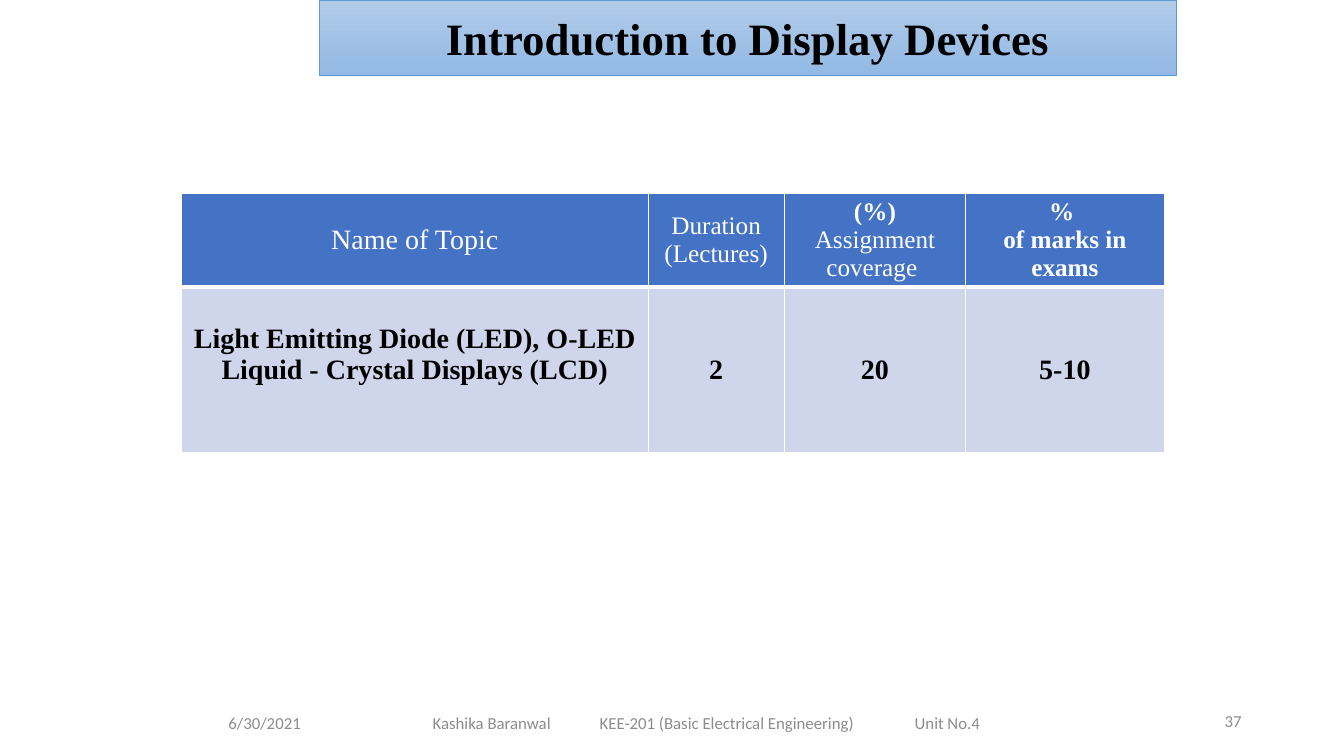
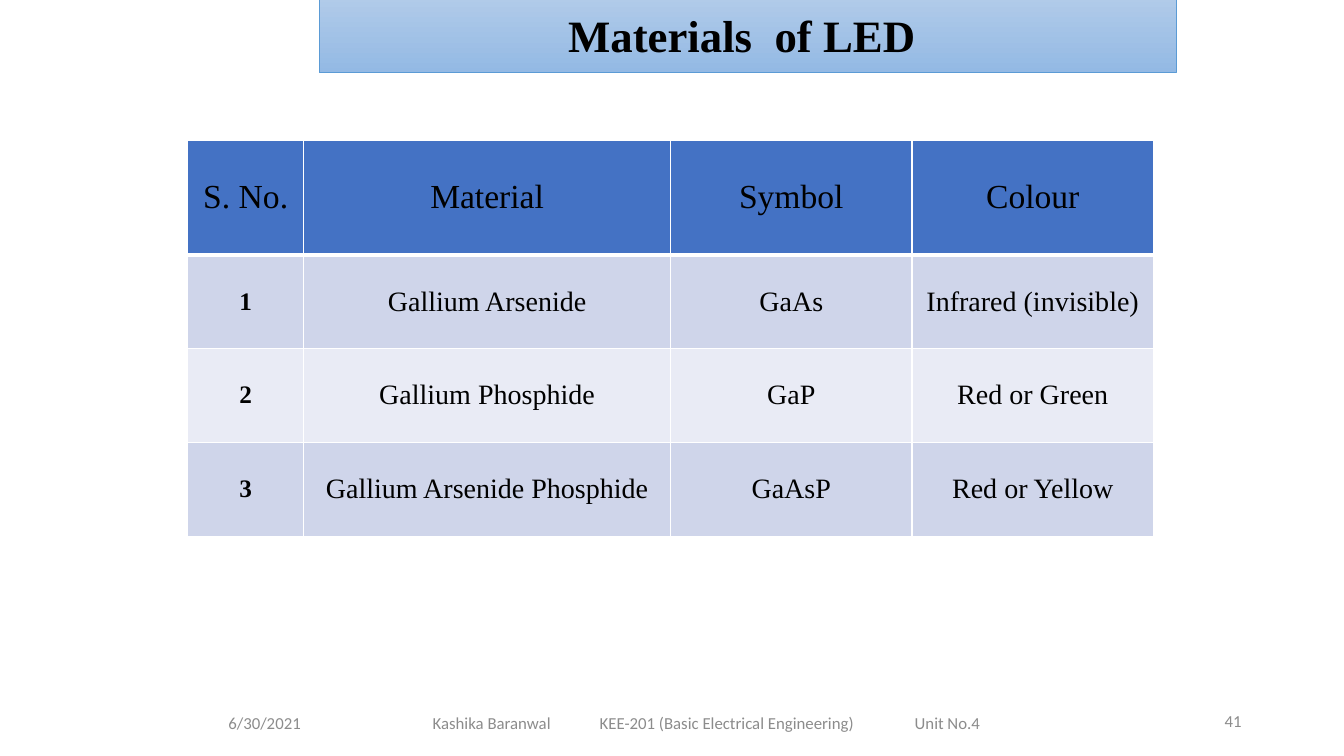
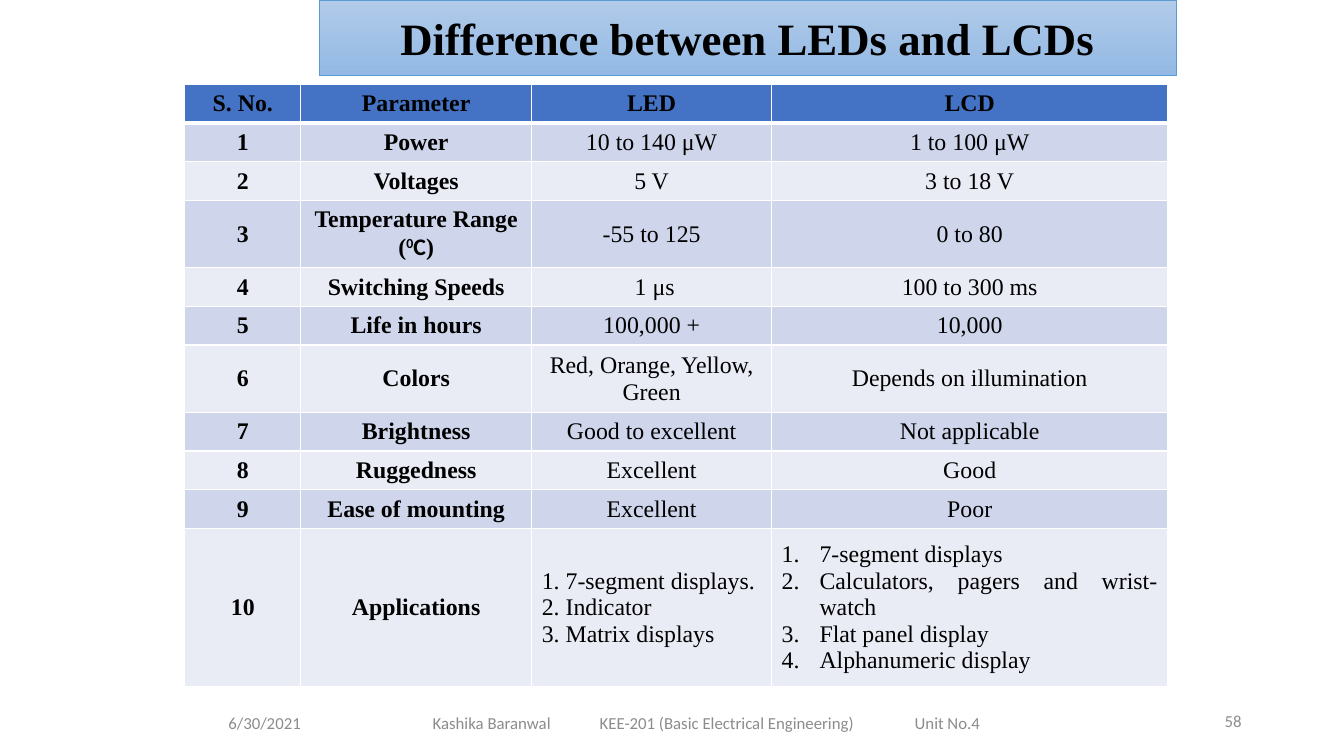
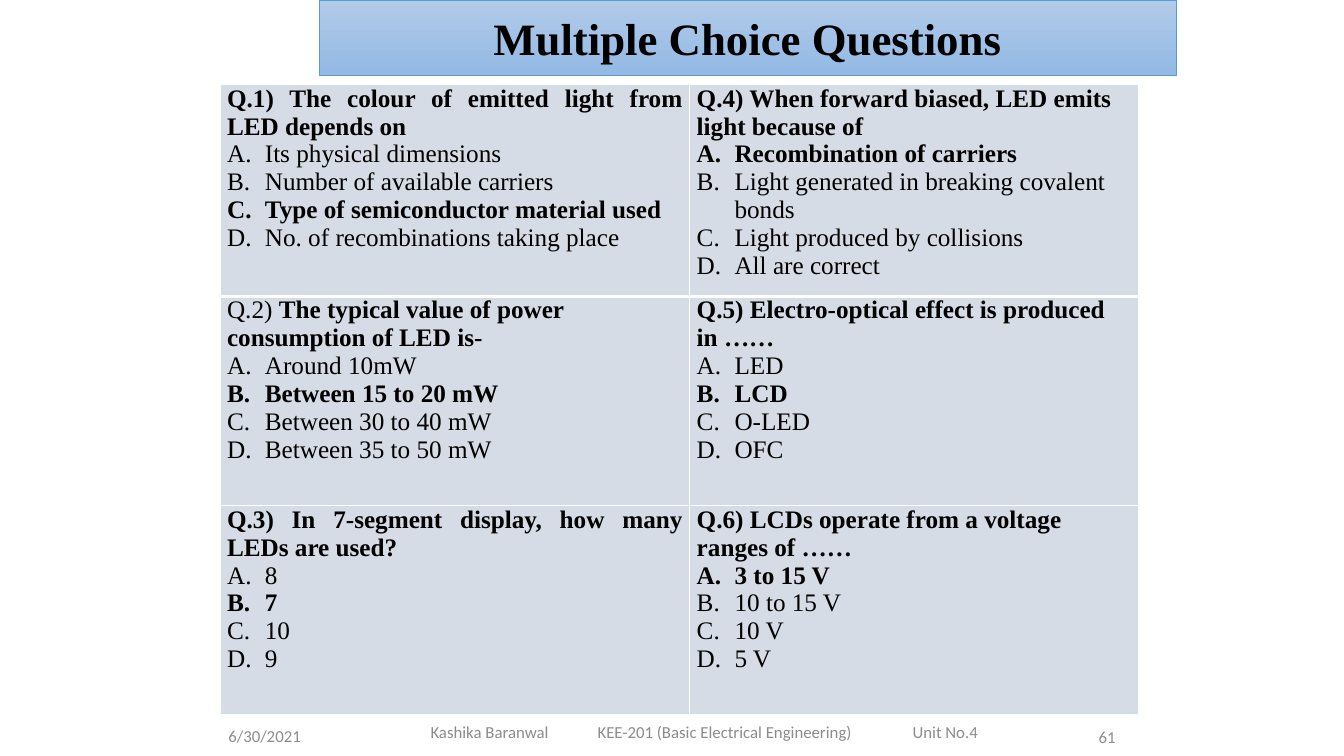
"""Build four lecture slides on display devices."""
from collections import namedtuple

from lxml.etree import SubElement
from pptx import Presentation
from pptx.dml.color import RGBColor
from pptx.enum.shapes import MSO_SHAPE
from pptx.enum.text import MSO_ANCHOR, PP_ALIGN
from pptx.oxml.ns import qn
from pptx.util import Pt

Line = namedtuple("Line", "runs align numbering", defaults=(PP_ALIGN.CENTER, None))

WHITE, BLACK, GREY = "FFFFFF", "000000", "8C8C8C"
HEADER_FILL, BAND_FILLS = "4472C4", ("CFD5EA", "E9EBF5")
QUESTION_FILL = "D6DCE5"
TITLE_GRADIENT, TITLE_LINE = ("B1CBE9", "93B9E4"), "5B9BD5"
SERIF, SANS = "Times New Roman", "Calibri"
LEFT, CENTER, JUSTIFY, RIGHT = PP_ALIGN.LEFT, PP_ALIGN.CENTER, PP_ALIGN.JUSTIFY, PP_ALIGN.RIGHT
BOLD = {"bold": True}
INDENT = 27

TITLE_STYLE = {"name": SERIF, "size": Pt(32), "bold": True, "color": BLACK}
FOOTER_STYLE = {"name": SANS, "size": Pt(12), "color": GREY}
DATE = "6/30/2021"
FOOTER = "Kashika Baranwal\tKEE-201 (Basic Electrical Engineering)\tUnit No.4"
FOOTER_TABS = (119.3, 344.3)
FOOTER_PLACES = {"date": (156, 502, 168), "footer": (302, 502, 410), "number": (678, 500, 216)}
LAST_FOOTER_PLACES = {"date": (156, 511, 168), "footer": (300.5, 508, 410), "number": (636, 512, 168)}


def serif(size, bold=False, color=BLACK):
    """Return a table text style."""
    return {"name": SERIF, "size": Pt(size), "bold": bold, "color": color}


def question(number, text, options, answer, align=LEFT, number_bold=True):
    """Return the lines of one question, its answer in bold."""
    lead = (f"Q.{number}) ", {"bold": number_bold})
    choices = [Line([(option, {"bold": option == answer})], align, "alphaUcPeriod") for option in options]
    return [Line([lead, (text, BOLD)], align), *choices]


TOPICS = {
    "at": (129.6, 138), "columns": (333.4, 97.2, 129.6, 141.8), "rows": (67, 118),
    "header": [serif(20, color=WHITE)] + [serif(18, color=WHITE)] * 3,
    "body": [serif(20, True)] * 4,
    "cells": [
        ["Name of Topic", ["Duration", "(Lectures)"],
         [Line([("(%)", BOLD)]), "Assignment coverage "],
         [Line([("% ", BOLD)]), Line([("of marks in exams", BOLD)])]],
        [["Light Emitting Diode (LED), O-LED", "Liquid - Crystal Displays (LCD)"], "2", "20", "5-10"],
    ],
    "raised": (1, 0),
}
MATERIALS = {
    "at": (134, 100), "columns": (83, 262, 172.5, 172.5), "rows": (82, 67, 67, 67),
    "header": [serif(24)] * 4,
    "body": [serif(18, True)] + [serif(20)] * 3,
    "cells": [
        ["S. No.", "Material", "Symbol", "Colour"],
        ["1", "Gallium Arsenide", "GaAs", "Infrared (invisible)"],
        ["2", "Gallium Phosphide", "GaP", "Red or Green"],
        ["3", "Gallium Arsenide Phosphide", "GaAsP", "Red or Yellow"],
    ],
}
TEMPERATURE = Line(["Temperature Range (", ("0", {"name": SANS, "baseline": 30}), ("C", {"name": SANS}), ")"])
LED_USES = ["1. 7-segment displays.", "2. Indicator", "3. Matrix displays"]
LCD_USES = ["7-segment displays", "Calculators, pagers and wrist-watch", "Flat panel display",
            "Alphanumeric display"]
DIFFERENCES = {
    "at": (132, 60.2), "columns": (82.8, 165, 171.4, 283), "rows": (27.5,) * 3 + (47, 27.5, 27.5, 47.5) + (27.5,) * 3 + (113,),
    "header": [serif(17, True)] * 4,
    "body": [serif(17, True)] * 2 + [serif(17)] * 2,
    "cells": [
        ["S. No.", "Parameter", "LED", "LCD"],
        ["1", "Power", "10 to 140 μW", "1 to 100 μW"],
        ["2", "Voltages", "5 V", "3 to 18 V"],
        ["3", [TEMPERATURE], "-55 to 125", "0 to 80"],
        ["4", "Switching Speeds", " 1 μs", "100 to 300 ms"],
        ["5", "Life in hours", "100,000 +", "10,000"],
        ["6", "Colors", "Red, Orange, Yellow, Green", "Depends on illumination"],
        ["7", "Brightness", "Good to excellent", "Not applicable"],
        ["8", "Ruggedness", "Excellent", "Good"],
        ["9", "Ease of mounting", "Excellent", "Poor"],
        ["10", "Applications", [Line([use], JUSTIFY) for use in LED_USES],
         [Line([use], JUSTIFY, "arabicPeriod") for use in LCD_USES]],
    ],
}
QUESTIONS = {
    "at": (157.2, 60.5), "columns": (335.5, 320.5), "rows": (151, 149.5, 149),
    "header": [serif(18)] * 2, "body": [serif(18)] * 2,
    "fill": QUESTION_FILL, "anchor": MSO_ANCHOR.TOP, "margins": (5, 0),
    "cells": [
        [question(1, "The colour of emitted light from LED depends on  ",
                  ["Its physical dimensions", "Number of available carriers ",
                   "Type of semiconductor material used", "No. of recombinations taking place"],
                  "Type of semiconductor material used", JUSTIFY),
         question(4, "When forward biased, LED emits light because of",
                  ["Recombination of carriers", "Light generated in breaking covalent bonds",
                   "Light produced by collisions", "All are correct"], "Recombination of carriers")],
        [question(2, "The typical value of power consumption of LED is-",
                  ["Around 10mW", "Between 15 to 20 mW", "Between 30 to 40 mW", "Between 35 to 50 mW"],
                  "Between 15 to 20 mW", number_bold=False),
         question(5, "Electro-optical effect is produced in ……", ["LED", "LCD", "O-LED", "OFC"], "LCD")],
        [question(3, "In 7-segment display, how many LEDs are used?", ["8", "7", "10", "9"], "7", JUSTIFY),
         question(6, "LCDs operate from a voltage ranges of ……",
                  ["3 to 15 V", "10 to 15 V", "10 V", "5 V"], "3 to 15 V")],
    ],
}
SLIDES = [
    ("Introduction to Display Devices", 0, "37", TOPICS, FOOTER_PLACES),
    ("Materials  of LED ", -2, "41", MATERIALS, FOOTER_PLACES),
    ("Difference between LEDs and LCDs", 0, "58", DIFFERENCES, FOOTER_PLACES),
    ("Multiple Choice Questions", 0, "61", QUESTIONS, LAST_FOOTER_PLACES),
]


def rgb(value):
    """Return a colour from a hex string."""
    return RGBColor.from_string(value)


def write(paragraph, line, style):
    """Write the runs of a line with a style and its exceptions."""
    paragraph.alignment = line.align
    if line.numbering:
        properties = paragraph._p.get_or_add_pPr()
        properties.set("marL", str(Pt(INDENT)))
        properties.set("indent", str(-Pt(INDENT)))
        SubElement(properties, qn("a:buFont"), typeface="+mj-lt")
        SubElement(properties, qn("a:buAutoNum"), type=line.numbering)
    for part in line.runs:
        text, changes = (part, {}) if isinstance(part, str) else part
        run = paragraph.add_run()
        run.text = text
        for key, value in {**style, **changes}.items():
            if key == "color":
                run.font.color.rgb = rgb(value)
            elif key == "baseline":
                run._r.get_or_add_rPr().set("baseline", str(value * 1000))
            else:
                setattr(run.font, key, value)


def add_title(slide, title, top):
    """Add the gradient title band."""
    band = slide.shapes.add_shape(MSO_SHAPE.RECTANGLE, Pt(228), Pt(top), Pt(612), Pt(54))
    band.shadow.inherit = False
    band.fill.gradient()
    band.fill.gradient_angle = 270
    for stop, color in zip(band.fill.gradient_stops, TITLE_GRADIENT):
        stop.color.rgb = rgb(color)
    band.line.color.rgb = rgb(TITLE_LINE)
    band.line.width = Pt(0.5)
    band.text_frame.vertical_anchor = MSO_ANCHOR.MIDDLE
    write(band.text_frame.paragraphs[0], Line([title]), TITLE_STYLE)


def add_footers(slide, number, places):
    """Add the date, the course line and the page number."""
    texts = {"date": (DATE, LEFT), "footer": (FOOTER, LEFT), "number": (number, RIGHT)}
    for part, (text, align) in texts.items():
        left, top, width = places[part]
        frame = slide.shapes.add_textbox(Pt(left), Pt(top), Pt(width), Pt(29)).text_frame
        frame.word_wrap = True
        frame.vertical_anchor = MSO_ANCHOR.MIDDLE
        paragraph = frame.paragraphs[0]
        if part == "footer":
            tabs = SubElement(paragraph._p.get_or_add_pPr(), qn("a:tabLst"))
            for position in FOOTER_TABS:
                SubElement(tabs, qn("a:tab"), pos=str(Pt(position)), algn="l")
        write(paragraph, Line([text], align), FOOTER_STYLE)


def add_borders(cell, bottom):
    """Draw white cell borders, ahead of the fill."""
    properties = cell._tc.get_or_add_tcPr()
    for side, width in (("L", 1), ("R", 1), ("T", 1), ("B", bottom)):
        border = SubElement(properties, qn(f"a:ln{side}"), w=str(Pt(width)))
        SubElement(SubElement(border, qn("a:solidFill")), qn("a:srgbClr"), val=WHITE)


def add_table(slide, data):
    """Add a table with a header row and banded body rows."""
    columns, rows = data["columns"], data["rows"]
    place = [Pt(value) for value in (*data["at"], sum(columns), sum(rows))]
    table = slide.shapes.add_table(len(rows), len(columns), *place).table
    for column, width in zip(table.columns, columns):
        column.width = Pt(width)
    for row, height in zip(table.rows, rows):
        row.height = Pt(height)
    side, edge = data.get("margins", (7.2, 3.6))
    for r, contents in enumerate(data["cells"]):
        styles = data["body"] if r else data["header"]
        fill = data.get("fill") or (BAND_FILLS[(r - 1) % 2] if r else HEADER_FILL)
        for c, content in enumerate(contents):
            cell = table.cell(r, c)
            lift = 22 if data.get("raised") == (r, c) else 0
            layout = {"margin_left": Pt(side), "margin_right": Pt(side), "margin_top": Pt(edge),
                      "margin_bottom": Pt(edge + lift),
                      "vertical_anchor": data.get("anchor", MSO_ANCHOR.MIDDLE)}
            for key, value in layout.items():
                setattr(cell, key, value)
            add_borders(cell, 1 if r else 3)
            cell.fill.solid()
            cell.fill.fore_color.rgb = rgb(fill)
            lines = [content] if isinstance(content, str) else content
            for i, line in enumerate(lines):
                paragraph = cell.text_frame.add_paragraph() if i else cell.text_frame.paragraphs[0]
                write(paragraph, Line([line]) if isinstance(line, str) else line, styles[c])


def main():
    """Build and save the presentation."""
    deck = Presentation()
    deck.slide_width, deck.slide_height = Pt(960), Pt(540)
    for title, top, number, data, places in SLIDES:
        slide = deck.slides.add_slide(deck.slide_layouts[6])
        add_table(slide, data)
        add_footers(slide, number, places)
        add_title(slide, title, top)
    deck.save("out.pptx")


if __name__ == "__main__":
    main()
